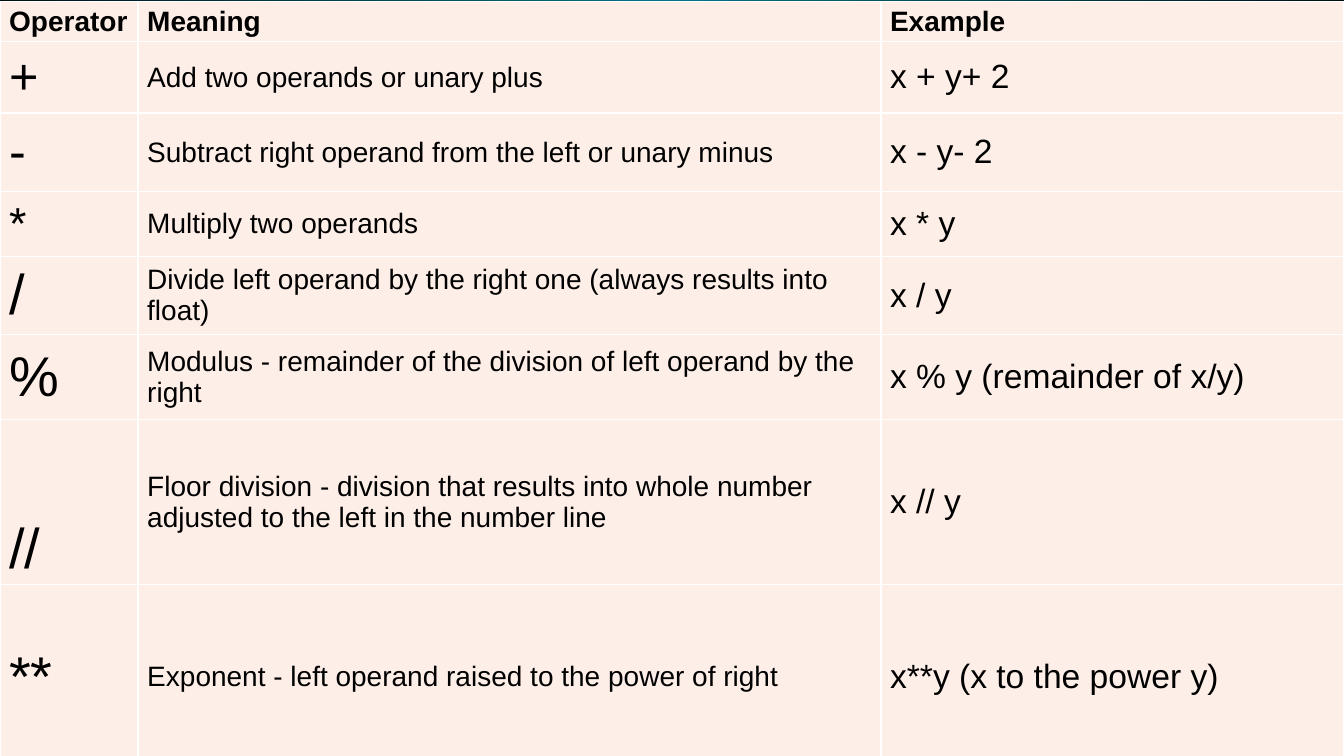
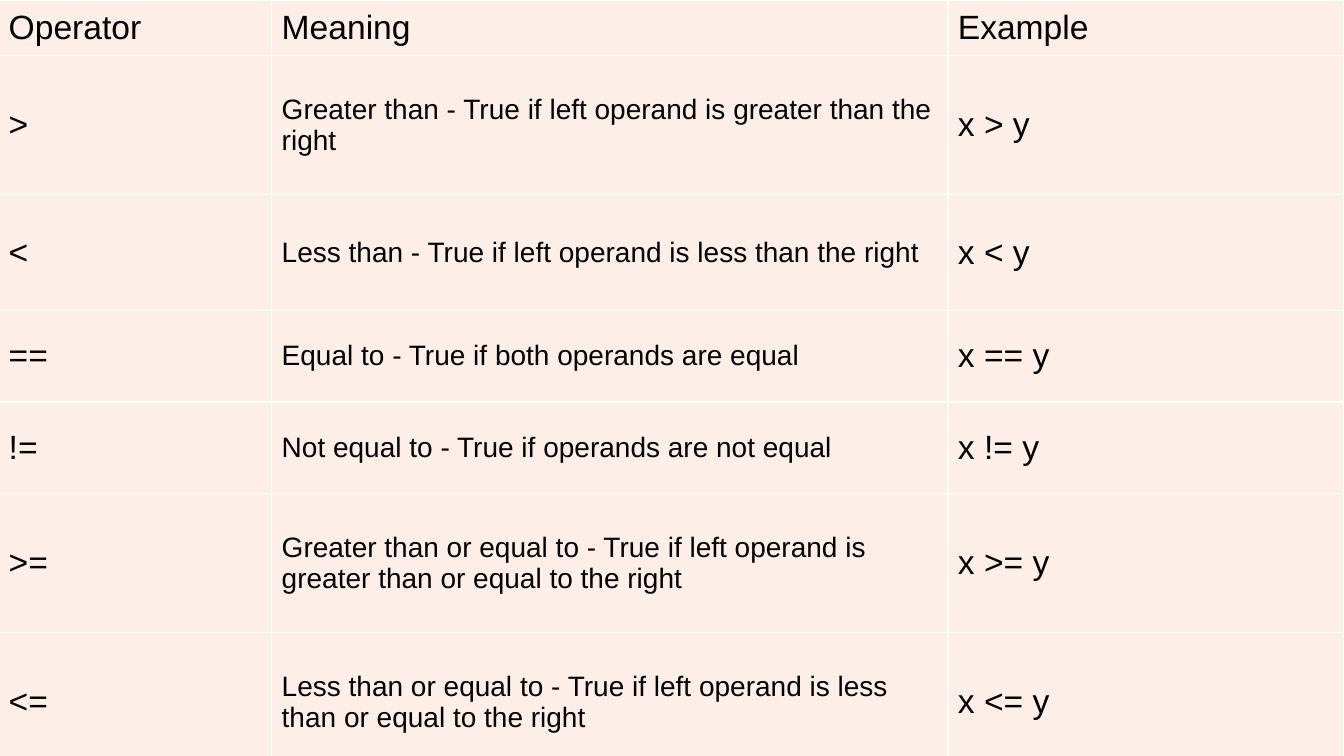
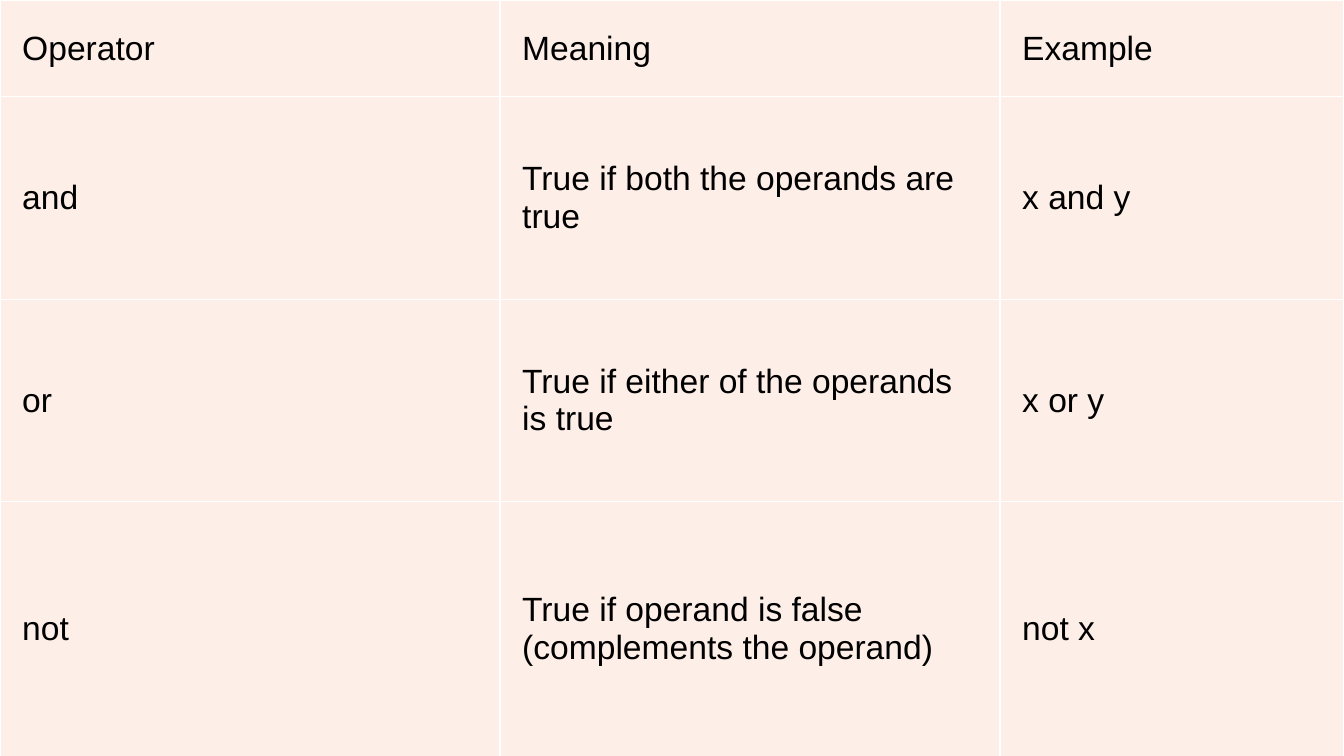
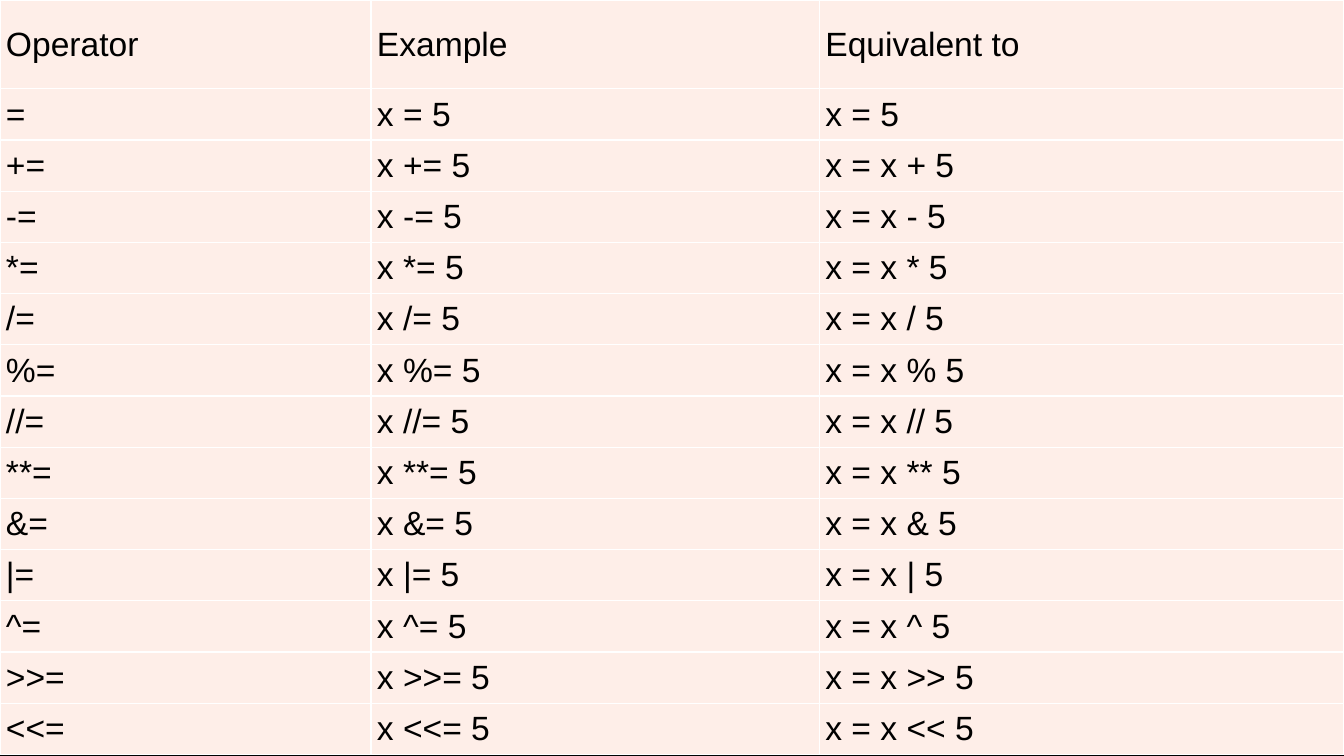
"""Build four slides of Python operator tables."""
from dataclasses import dataclass
from typing import Optional

from lxml.etree import SubElement
from pptx import Presentation
from pptx.dml.color import RGBColor
from pptx.enum.text import MSO_ANCHOR
from pptx.oxml.ns import qn
from pptx.presentation import Presentation as Deck
from pptx.slide import SlideMaster
from pptx.table import _Cell as Cell
from pptx.util import Cm, Pt

TEAL = RGBColor(0x04, 0x73, 0x85)
BLACK = RGBColor(0x00, 0x00, 0x00)
WHITE = RGBColor(0xFF, 0xFF, 0xFF)
BLUSH = RGBColor(0xFE, 0xEE, 0xE8)
FONT = "Arial"
BLANK_LAYOUT = 6


@dataclass(frozen=True)
class Row:
    """One table row; lengths in centimetres, sizes in points."""
    height: float
    texts: tuple[str, str, str]
    operator_size: Optional[int] = None
    operator_spacing: Optional[float] = None


@dataclass(frozen=True)
class OperatorTable:
    """One full-slide table; lengths in centimetres, sizes in points."""
    widths: tuple[float, float, float]
    margins: tuple[float, float]
    rows: list[Row]
    sizes: tuple[int, int, int] = (24, 24, 24)
    header_size: int = 24
    header_bold: bool = False
    left: float = 0
    top: float = 0


HEADINGS = ("Operator", "Meaning", "Example")

ARITHMETIC = OperatorTable(
    widths=(3.48, 18.72, 11.66), margins=(0.23, 0.11), top=0.04,
    sizes=(40, 20, 24), header_size=20, header_bold=True,
    rows=[
        Row(0.94, HEADINGS),
        Row(1.8, ("+", "Add two operands or unary plus", "x + y+ 2"), 36),
        Row(1.98, ("-", "Subtract right operand from the left or unary minus",
                   "x - y- 2"), 36),
        Row(1.63, ("*", "Multiply two operands", "x * y"), 32),
        Row(1.98, ("/", "Divide left operand by the right one "
                   "(always results into float)", "x / y")),
        Row(2.13, ("%", "Modulus - remainder of the division of left operand "
                   "by the right", "x % y (remainder of x/y)")),
        Row(3.94, ("//", "Floor division - division that results into whole "
                   "number adjusted to the left in the number line", "x // y"),
            operator_spacing=2.5),
        Row(4.67, ("**", "Exponent - left operand raised to the power of right",
                   "x**y (x to the power y)")),
    ])

COMPARISON = OperatorTable(
    widths=(6.88, 17.04, 9.96), margins=(0.25, 0.13), left=-0.03,
    sizes=(24, 20, 24),
    rows=[
        Row(1.4, HEADINGS),
        Row(3.5, (">", "Greater than - True if left operand is greater than "
                  "the right", "x > y")),
        Row(2.92, ("<", "Less than - True if left operand is less than the right",
                   "x < y")),
        Row(2.31, ("==", "Equal to - True if both operands are equal", "x == y")),
        Row(2.31, ("!=", "Not equal to - True if operands are not equal",
                   "x != y")),
        Row(3.5, (">=", "Greater than or equal to - True if left operand is "
                  "greater than or equal to the right", "x >= y")),
        Row(3.5, ("<=", "Less than or equal to - True if left operand is less "
                  "than or equal to the right", "x <= y")),
    ])

LOGICAL = OperatorTable(
    widths=(12.6, 12.6, 8.67), margins=(0.56, 0.28),
    rows=[
        Row(2.44, HEADINGS),
        Row(5.1, ("and", "True if both the operands are true", "x and y")),
        Row(5.1, ("or", "True if either of the operands is true", "x or y")),
        Row(6.42, ("not", "True if operand is false (complements the operand)",
                   "not x")),
    ])

COMPOUND = ("+", "-", "*", "/", "%", "//", "**", "&", "|", "^", ">>", "<<")

ASSIGNMENT = OperatorTable(
    widths=(9.35, 11.3, 13.21), margins=(0.15, 0.08),
    rows=[
        Row(2.24, ("Operator", "Example", "Equivalent to")),
        Row(1.29, ("=", "x = 5", "x = 5")),
        *(Row(1.29, (f"{sign}=", f"x {sign}= 5", f"x = x {sign} 5"))
          for sign in COMPOUND),
    ])


def set_background(master: SlideMaster) -> None:
    """Give every slide the radial teal-to-black background."""
    fill = master.background.fill
    fill.gradient()
    for stop, color, position in zip(fill.gradient_stops, (TEAL, BLACK), (0, 1)):
        stop.color.rgb = color
        stop.position = position
    gradient = master.element.find(f".//{qn('p:bg')}//{qn('a:gradFill')}")
    gradient.remove(gradient.find(qn("a:lin")))
    circle = SubElement(gradient, qn("a:path"), {"path": "circle"})
    SubElement(circle, qn("a:fillToRect"),
               {"l": "43000", "t": "0", "r": "43000", "b": "100000"})


def add_borders(cell: Cell) -> None:
    """Draw a thin white line on each side of a cell."""
    properties = cell._tc.get_or_add_tcPr()
    for side in ("L", "R", "T", "B"):
        line = SubElement(properties, qn(f"a:ln{side}"), {"w": str(Pt(1))})
        solid = SubElement(line, qn("a:solidFill"))
        SubElement(solid, qn("a:srgbClr"), {"val": str(WHITE)})


def format_cell(cell: Cell, text: str, size: int, bold: bool,
                margins: tuple[float, float]) -> None:
    """Write a cell's text and set its look."""
    add_borders(cell)
    cell.fill.solid()
    cell.fill.fore_color.rgb = BLUSH
    cell.vertical_anchor = MSO_ANCHOR.MIDDLE
    cell.margin_left = cell.margin_right = Cm(margins[0])
    cell.margin_top = cell.margin_bottom = Cm(margins[1])
    cell.text = text
    font = cell.text_frame.paragraphs[0].font
    font.name = FONT
    font.size = Pt(size)
    font.bold = bold
    font.color.rgb = BLACK


def add_table_slide(presentation: Deck, content: OperatorTable) -> None:
    """Add a slide filled by one operator table."""
    slide = presentation.slides.add_slide(presentation.slide_layouts[BLANK_LAYOUT])
    table = slide.shapes.add_table(
        len(content.rows), len(content.widths), Cm(content.left), Cm(content.top),
        Cm(sum(content.widths)), Cm(sum(row.height for row in content.rows))).table
    table.first_row = table.horz_banding = False
    for column, width in zip(table.columns, content.widths):
        column.width = Cm(width)
    for row_index, row in enumerate(content.rows):
        table.rows[row_index].height = Cm(row.height)
        is_header = row_index == 0
        sizes = (content.header_size,) * 3 if is_header else content.sizes
        if row.operator_size:
            sizes = (row.operator_size, *sizes[1:])
        for column_index, (text, size) in enumerate(zip(row.texts, sizes)):
            format_cell(table.cell(row_index, column_index), text, size,
                        is_header and content.header_bold, content.margins)
        if row.operator_spacing:
            paragraph = table.cell(row_index, 0).text_frame.paragraphs[0]
            paragraph.line_spacing = row.operator_spacing


def main() -> None:
    """Build and save the presentation."""
    presentation = Presentation()
    presentation.slide_width = Cm(33.87)
    presentation.slide_height = Cm(19.05)
    set_background(presentation.slide_master)
    for content in (ARITHMETIC, COMPARISON, LOGICAL, ASSIGNMENT):
        add_table_slide(presentation, content)
    presentation.save("out.pptx")


main()
